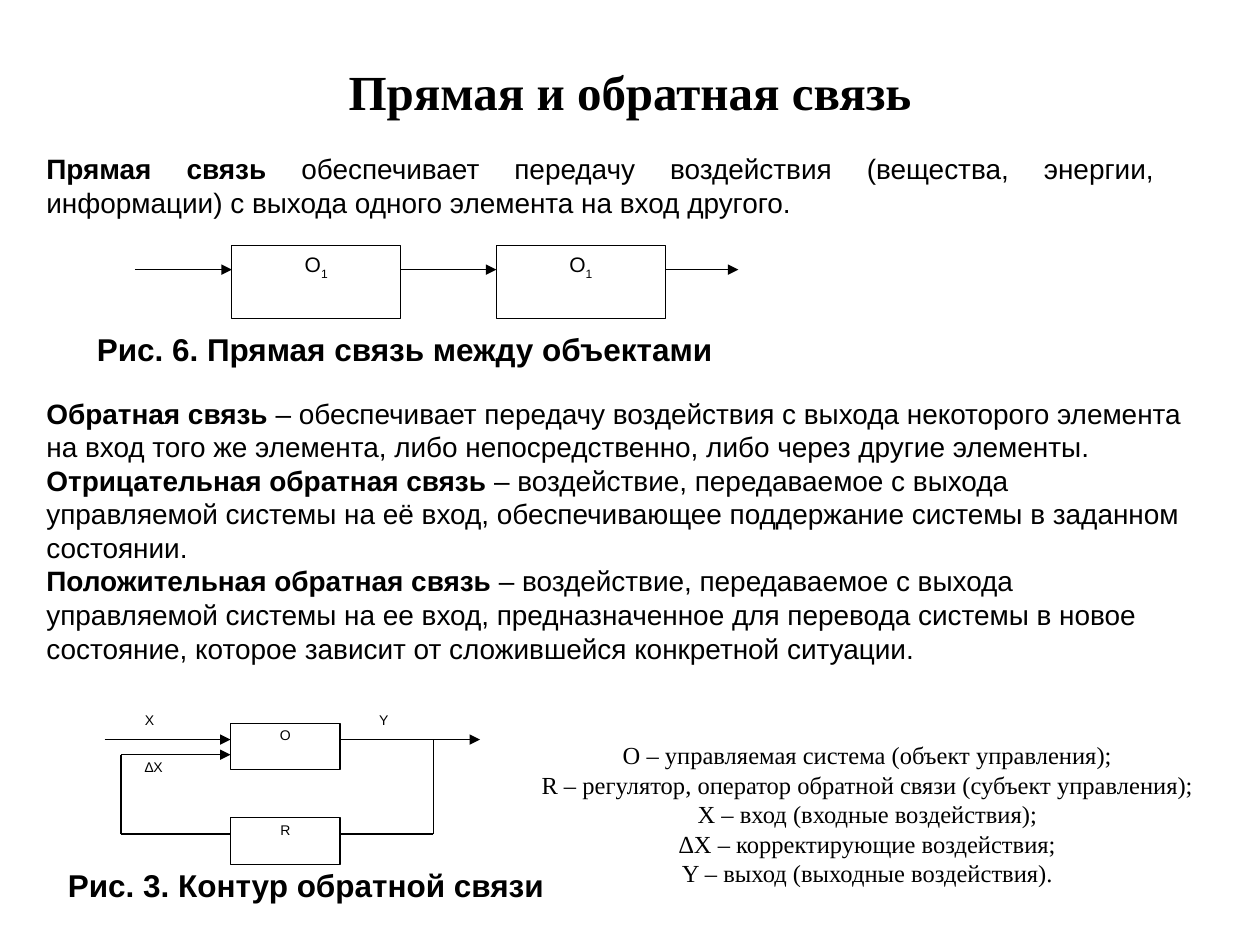
from dataclasses import dataclass

from lxml import etree
from pptx import Presentation
from pptx.dml import color
from pptx.enum import shapes as sh, text as tx
from pptx.oxml import ns
from pptx.util import Emu, Pt

PX = 9144


@dataclass(frozen=True)
class Theme:
    ink: color.RGBColor = color.RGBColor(0, 0, 0)
    paper: color.RGBColor = color.RGBColor(255, 255, 255)
    sans: str = "Arial"
    serif: str = "Times New Roman"
    head: int = 28
    cap: int = 18
    body: int = 16
    key: int = 14
    node: int = 12
    tag: int = 8
    line: float = 0.75


T = Theme()
A = tx.PP_ALIGN
TOP, MID = tx.MSO_ANCHOR.TOP, tx.MSO_ANCHOR.MIDDLE


def px(*vals):
    return [Emu(v * PX) for v in vals]


def write(item, paras, size, face=T.sans, align=A.LEFT, anchor=MID, pad=(10, 5), wrap=True):
    frame = item.text_frame
    frame.word_wrap = wrap
    frame.vertical_anchor = anchor
    frame.margin_left = frame.margin_right = Emu(pad[0] * PX)
    frame.margin_top = frame.margin_bottom = Emu(pad[1] * PX)
    for i, parts in enumerate(paras):
        para = frame.add_paragraph() if i else frame.paragraphs[0]
        para.alignment = align
        for words, bold in parts:
            run = para.add_run()
            run.text = words
            font = run.font
            font.name, font.size, font.bold = face, Pt(size), bold
            font.color.rgb = T.ink
    return frame


def rect(host, box, edge=True):
    item = host.add_shape(sh.MSO_SHAPE.RECTANGLE, *px(*box))
    item.shadow.inherit = False
    item.fill.solid()
    item.fill.fore_color.rgb = T.paper
    if edge:
        item.line.color.rgb = T.ink
        item.line.width = Pt(T.line)
    else:
        item.line.fill.background()
    return item


def wire(host, x1, y1, x2, y2, arrow=False):
    link = host.add_connector(sh.MSO_CONNECTOR.STRAIGHT, *px(x1, y1, x2, y2))
    link.line.color.rgb = T.ink
    link.line.width = Pt(T.line)
    if arrow:
        tail = etree.SubElement(link.line._get_or_add_ln(), ns.qn("a:tailEnd"))
        tail.set("type", "triangle")
    etree.SubElement(link._element.spPr, ns.qn("a:effectLst"))


def title(slide, box, words):
    item = slide.shapes.title
    item.left, item.top, item.width, item.height = px(*box)
    write(item, [[(words, True)]], T.head, T.serif, A.CENTER)


def caption(slide, box, words):
    item = slide.shapes.add_textbox(*px(*box))
    write(item, [[(words, True)]], T.cap, align=A.JUSTIFY, wrap=False)


def intro(slide, box, term, rest):
    item = slide.shapes.add_textbox(*px(*box))
    write(item, [[(term, True), (rest, False)]], T.body, align=A.JUSTIFY)


def terms(slide, box, pairs):
    item = rect(slide.shapes, box, edge=False)
    write(item, [[(term, True), (rest, False)] for term, rest in pairs], T.body)


def legend(slide, box, rows):
    item = slide.shapes.add_textbox(*px(*box))
    write(item, [[(row, False)] for row in rows], T.key, T.serif, A.CENTER)


def chain(slide, box):
    x, y, w, h = box
    host = slide.shapes.add_group_shape().shapes
    wide, step, first = 134, 210, x + 77
    for left in (first, first + step):
        item = rect(host, (left, y, wide, h))
        frame = write(item, [[("О", False), ("1", False)]], T.node, align=A.CENTER, anchor=TOP)
        frame.paragraphs[0].runs[1]._r.get_or_add_rPr().set("baseline", "-25000")
    mid = y + 19
    ends = [(x, first), (first + wide, first + step), (first + step + wide, x + w)]
    for start, stop in ends:
        wire(host, start, mid, stop, mid, True)


def loop(slide, box):
    x, y, w, h = box
    host = slide.shapes.add_group_shape().shapes
    left, wide, tall = x + 100, 87, 37
    right = left + wide
    pad = (7, 3)
    for name, top in (("O", y + 12), ("R", y + h - tall)):
        item = rect(host, (left, top, wide, tall))
        write(item, [[(name, False)]], T.tag, align=A.CENTER, anchor=TOP, pad=pad)
    main, back, low = y + 25, y + 37, y + 100
    near, far = x + 13, x + 261
    wires = [
        (x, main, left, main, True),
        (right, main, x + w, main, True),
        (far, main, far, low),
        (far, low, right, low),
        (left, low, near, low),
        (near, low, near, back),
        (near, back, left, back, True),
    ]
    for ends in wires:
        wire(host, *ends)
    for name, dx, dy, width in (("X", 25, 0, 37), ("Y", 211, 0, 37), ("∆X", 25, 37, 50)):
        item = host.add_textbox(*px(x + dx, y + dy, width, tall))
        write(item, [[(name, False)]], T.tag, anchor=TOP, pad=pad)


def main():
    deck = Presentation()
    deck.slide_width, deck.slide_height = px(1000, 750)
    slide = deck.slides.add_slide(deck.slide_layouts[5])
    title(slide, (50, 30, 900, 85), "Прямая и обратная связь")
    intro(slide, (27, 115, 899, 64), "Прямая связь",
          " обеспечивает передачу воздействия (вещества, энергии, информации)"
          " с выхода одного элемента на вход другого.")
    chain(slide, (107, 195, 479, 58))
    caption(slide, (67, 257, 510, 40), "Рис. 6. Прямая связь между объектами")
    terms(slide, (27, 296, 921, 250), [
        ("Обратная связь",
         " – обеспечивает передачу воздействия с выхода некоторого элемента на вход"
         " того же элемента, либо непосредственно, либо через другие элементы."),
        ("Отрицательная обратная связь",
         " – воздействие, передаваемое с выхода управляемой системы на её вход,"
         " обеспечивающее поддержание системы в заданном состоянии."),
        ("Положительная обратная связь",
         " – воздействие, передаваемое с выхода управляемой системы на ее вход,"
         " предназначенное для перевода системы в новое состояние, которое зависит"
         " от сложившейся конкретной ситуации."),
    ])
    loop(slide, (83, 562, 298, 124))
    caption(slide, (44, 682, 398, 40), "Рис. 3. Контур обратной связи")
    legend(slide, (413, 571, 551, 150), [
        "O – управляемая система (объект управления);",
        "R – регулятор, оператор обратной связи (субъект управления);",
        "X – вход (входные воздействия);",
        "∆X – корректирующие воздействия;",
        "Y – выход (выходные воздействия).",
    ])
    deck.save("out.pptx")


if __name__ == "__main__":
    main()
